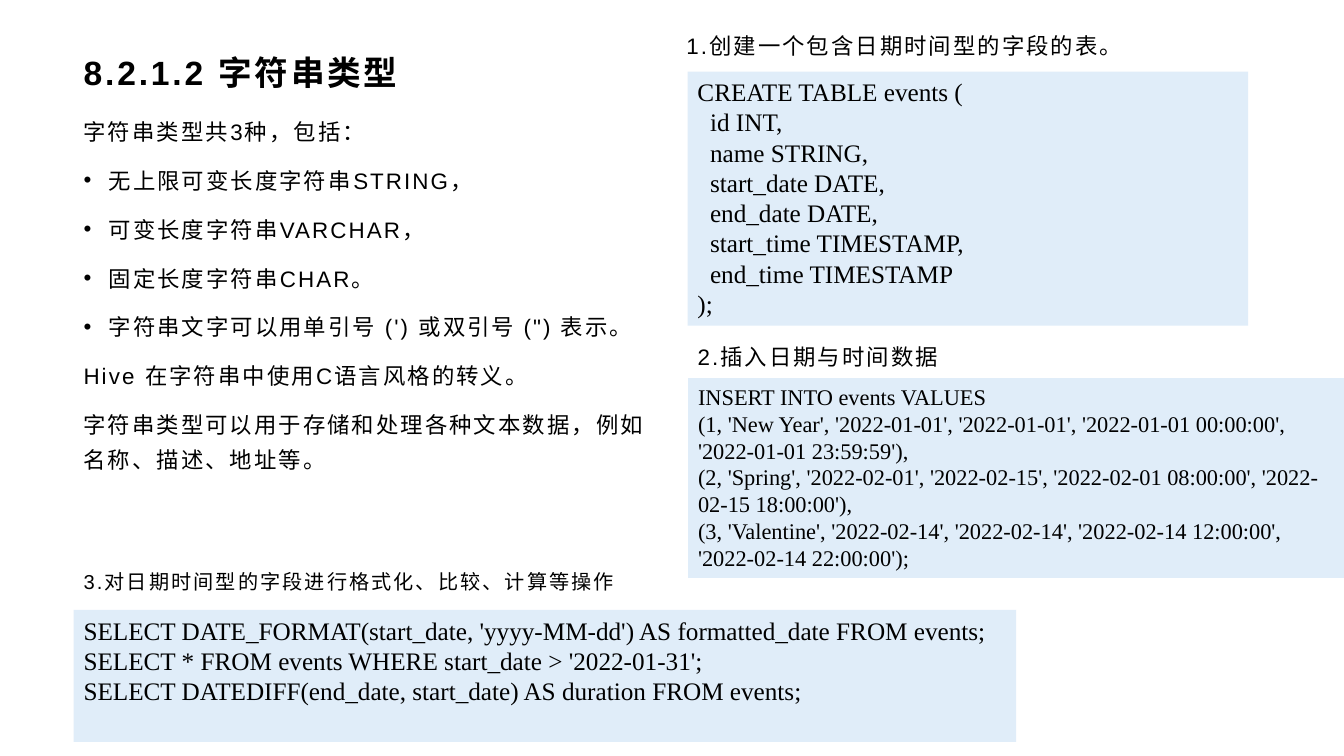
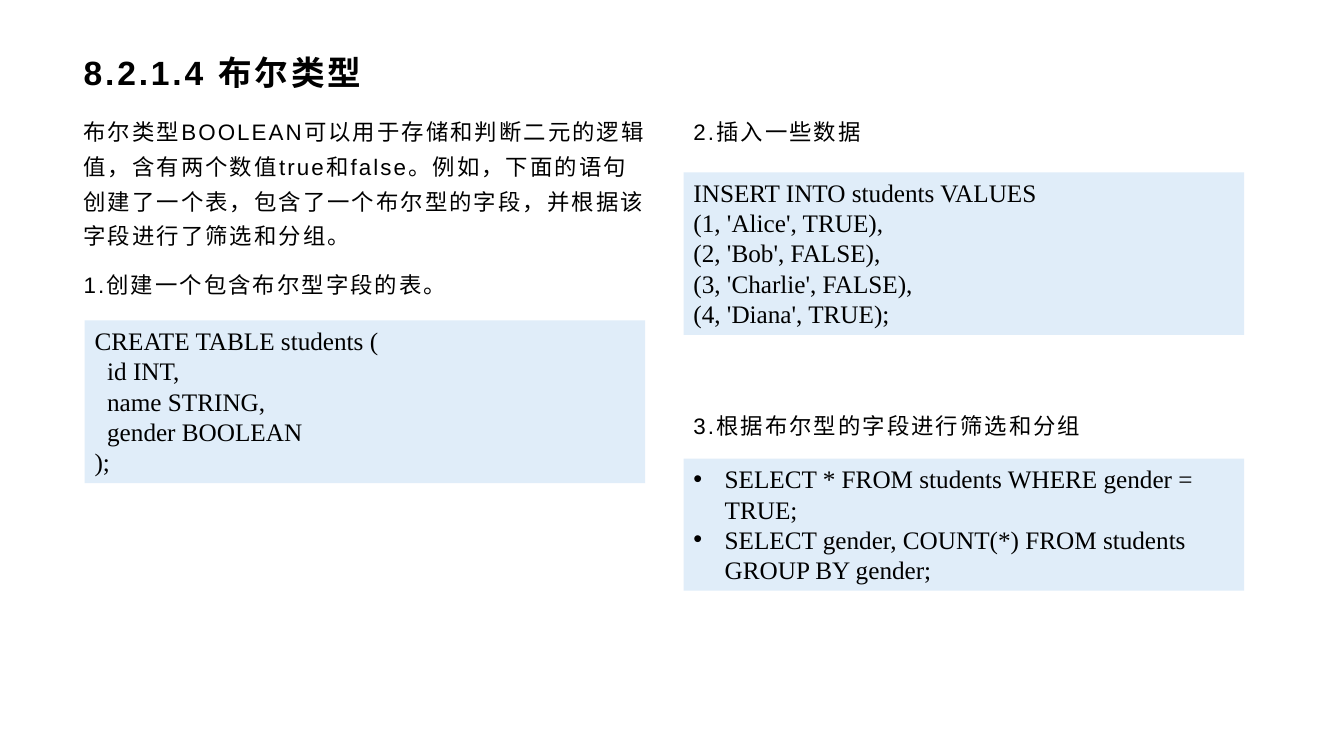
from lxml import etree
from pptx import Presentation
from pptx import util as u
from pptx.dml.color import RGBColor
from pptx.enum import lang, shapes, text
from pptx.oxml.ns import qn

COLOURS = {"ink": "000000", "paper": "FFFFFF", "panel": "E0EDF9"}
PROSE, CODE = "Arial", "Times New Roman"
SLIDE_W, SLIDE_H = 13.33, 7.5
LEADING = 1.21  # line height of code, as a multiple of its size

# Shares of the slide's size, in percent
LEFT = 5.48
RIGHT = 50.86
COLUMN = 43.36
PANEL = 41.71
TOP = 13.87
LABEL = 6.93


def colour(name):
    return RGBColor.from_string(COLOURS[name])


class Deck:
    """Holds the shared style and the slide being filled."""

    def __init__(self):
        self.prs = Presentation()
        self.prs.slide_width = u.Inches(SLIDE_W)
        self.prs.slide_height = u.Inches(SLIDE_H)
        self.slide = None

    def box(self, x, y, w, h):
        """Turn percentages of the slide into left, top, width, height."""
        across, down = self.prs.slide_width / 100, self.prs.slide_height / 100
        return round(x * across), round(y * down), round(w * across), round(h * down)

    def style(self, paragraph, face, size, bold=False, spacing=0):
        paragraph.alignment = text.PP_ALIGN.LEFT
        for run in paragraph.runs:
            run.font.name = face
            run.font.size = u.Pt(size)
            run.font.bold = bold
            run.font.color.rgb = colour("ink")
            run.font.language_id = lang.MSO_LANGUAGE_ID.SIMPLIFIED_CHINESE
            if spacing:
                run.font._element.set("spc", str(round(spacing * 100)))

    def bullet(self, paragraph, indent):
        props = paragraph._p.get_or_add_pPr()
        props.set("marL", str(u.Inches(indent)))
        props.set("indent", str(-u.Inches(indent)))
        etree.SubElement(props, qn("a:buFont")).set("typeface", PROSE)
        etree.SubElement(props, qn("a:buChar")).set("char", "•")

    def frame(self, shape, anchor=text.MSO_ANCHOR.TOP):
        """Give a shape's text frame the shared wrapping and margins."""
        frame = shape.text_frame
        frame.word_wrap = True
        frame.auto_size = text.MSO_AUTO_SIZE.NONE
        frame.vertical_anchor = anchor
        frame.margin_left = frame.margin_right = u.Inches(0.1)
        frame.margin_top = frame.margin_bottom = u.Inches(0.05)
        return frame

    def start(self, heading):
        """Add a slide with its title."""
        self.slide = self.prs.slides.add_slide(self.prs.slide_layouts[5])
        self.slide.background.fill.solid()
        self.slide.background.fill.fore_color.rgb = colour("paper")
        title = self.slide.shapes.title
        title.left, title.top, title.width, title.height = self.box(LEFT, 6.4, 89.05, 6.4)
        frame = self.frame(title, text.MSO_ANCHOR.MIDDLE)
        frame.text = heading
        self.style(frame.paragraphs[0], PROSE, 24, bold=True, spacing=2)

    def prose(self, x, y, lines, h=LABEL, size=16, bulleted=()):
        frame = self.frame(self.slide.shapes.add_textbox(*self.box(x, y, COLUMN, h)))
        frame.text = "\n".join(lines)
        for index, paragraph in enumerate(frame.paragraphs):
            paragraph.line_spacing = 1.3
            paragraph.space_after = u.Pt(10)
            if index in bulleted:
                self.bullet(paragraph, 0.25)
            self.style(paragraph, PROSE, size, spacing=1.5)

    def code(self, x, y, source, rows, w=PANEL, size=18, bulleted=False):
        """Add a code panel tall enough for the given number of rows."""
        height = (rows * size * LEADING / 72 + 0.1) / SLIDE_H * 100
        panel = self.slide.shapes.add_shape(
            shapes.MSO_SHAPE.RECTANGLE, *self.box(x, y, w, height))
        panel.shadow.inherit = False
        panel.fill.solid()
        panel.fill.fore_color.rgb = colour("panel")
        panel.line.fill.background()
        frame = self.frame(panel)
        frame.text = source
        for paragraph in frame.paragraphs:
            if bulleted:
                self.bullet(paragraph, 0.31)
            self.style(paragraph, CODE, size)


def string_types(deck):
    deck.start("8.2.1.2 字符串类型")
    deck.prose(LEFT, TOP, [
        "字符串类型共3种，包括：",
        "无上限可变长度字符串STRING，",
        "可变长度字符串VARCHAR，",
        "固定长度字符串CHAR。",
        "字符串文字可以用单引号 (') 或双引号 (\") 表示。",
        "Hive 在字符串中使用C语言风格的转义。",
        "字符串类型可以用于存储和处理各种文本数据，例如名称、描述、地址等。",
    ], h=52, bulleted=range(1, 5))
    deck.prose(50.34, 2.53, ["1.创建一个包含日期时间型的字段的表。"])
    deck.prose(51.16, 43.73, ["2.插入日期与时间数据"])
    deck.prose(LEFT, 73.73, ["3.对日期时间型的字段进行格式化、比较、计算等操作"], size=14.4)
    deck.code(51.16, 9.47, """CREATE TABLE events (
  id INT,
  name STRING,
  start_date DATE,
  end_date DATE,
  start_time TIMESTAMP,
  end_time TIMESTAMP
);""", rows=8)
    deck.code(51.2, 50, """INSERT INTO events VALUES
(1, 'New Year', '2022-01-01', '2022-01-01', '2022-01-01 00:00:00', '2022-01-01 23:59:59'),
(2, 'Spring', '2022-02-01', '2022-02-15', '2022-02-01 08:00:00', '2022-02-15 18:00:00'),
(3, 'Valentine', '2022-02-14', '2022-02-14', '2022-02-14 12:00:00', '2022-02-14 22:00:00');""",
              rows=7, w=48.8, size=16)
    deck.code(LEFT, 80.67, """SELECT DATE_FORMAT(start_date, 'yyyy-MM-dd') AS formatted_date FROM events;
SELECT * FROM events WHERE start_date > '2022-01-31';
SELECT DATEDIFF(end_date, start_date) AS duration FROM events;""", rows=4, w=70.14)


def boolean_type(deck):
    deck.start("8.2.1.4 布尔类型")
    deck.prose(LEFT, TOP, [
        "布尔类型BOOLEAN可以用于存储和判断二元的逻辑值，含有两个数值true和false。"
        "例如，下面的语句创建了一个表，包含了一个布尔型的字段，并根据该字段进行了筛选和分组。",
        "1.创建一个包含布尔型字段的表。",
    ], h=28)
    deck.prose(RIGHT, TOP, ["2.插入一些数据"])
    deck.prose(RIGHT, 52.75, ["3.根据布尔型的字段进行筛选和分组"])
    deck.code(6.3, 42.4, """CREATE TABLE students (
  id INT,
  name STRING,
  gender BOOLEAN
);""", rows=5)
    deck.code(RIGHT, 22.8, """INSERT INTO students VALUES
(1, 'Alice', TRUE),
(2, 'Bob', FALSE),
(3, 'Charlie', FALSE),
(4, 'Diana', TRUE);""", rows=5)
    deck.code(RIGHT, 60.67, """SELECT * FROM students WHERE gender = TRUE;
SELECT gender, COUNT(*) FROM students GROUP BY gender;""", rows=4, bulleted=True)


def main():
    deck = Deck()
    string_types(deck)
    boolean_type(deck)
    deck.prs.save("out.pptx")


if __name__ == "__main__":
    main()
